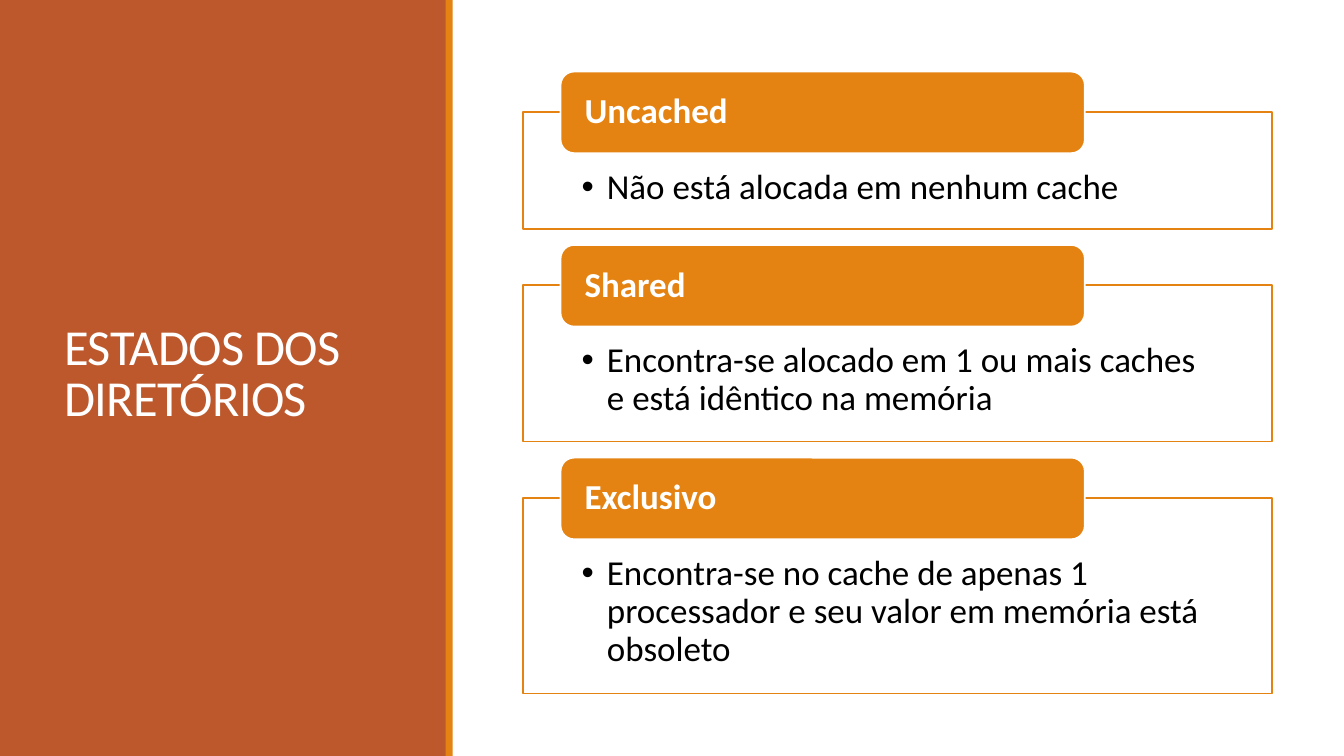
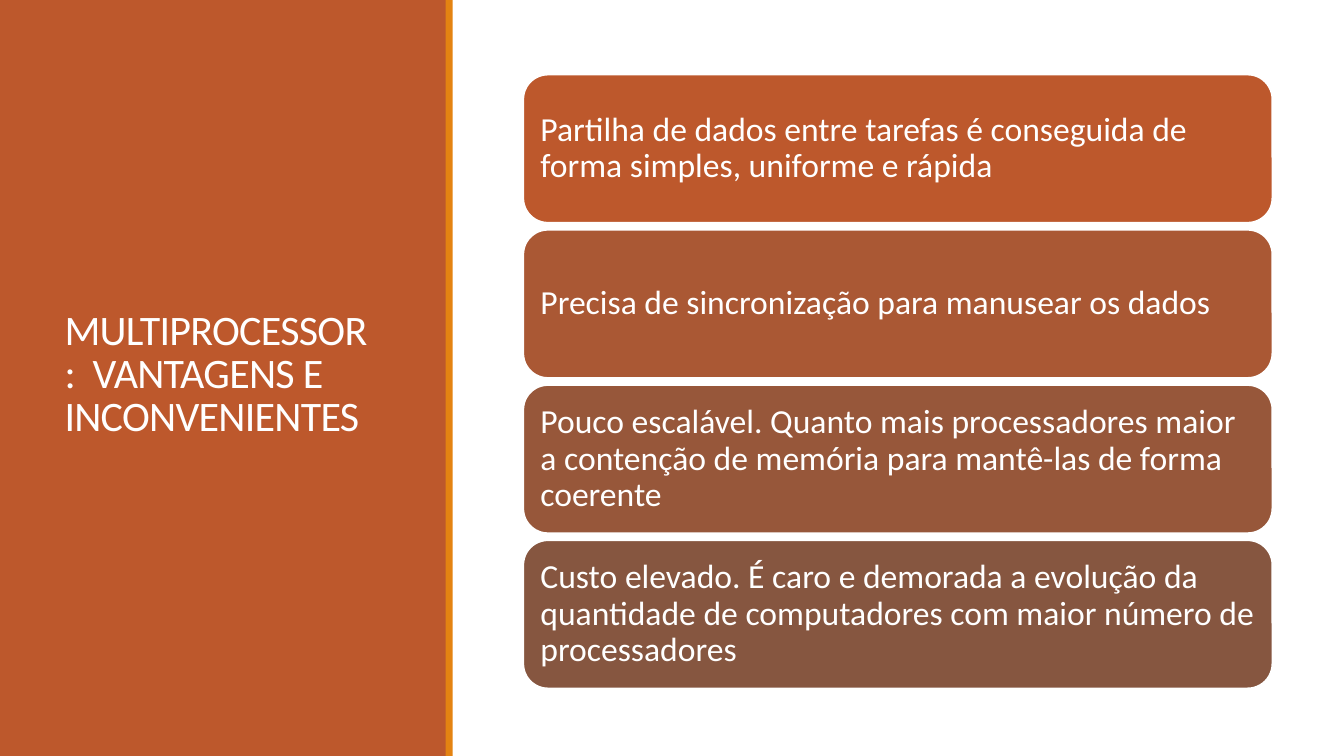
from pptx import Presentation
from pptx.dml.color import RGBColor as Rgb
from pptx.enum.shapes import MSO_SHAPE as Kind
from pptx.enum.text import MSO_ANCHOR as Anchor, MSO_AUTO_SIZE as Auto, PP_ALIGN as Align
from pptx.oxml.ns import qn
from pptx.util import Inches, Pt
from lxml.etree import SubElement

HUES = {"rust": "BD582C", "orange": "E48312", "white": "FFFFFF", "black": "000000",
        "clay": "AA5834", "brown": "97573A", "umber": "865640"}
FONT = "Calibri"
LEFT, WIDE = 5.19, 7.43


def draw(slide, kind, box, fill, line=None):
    shape = slide.shapes.add_shape(kind, *map(Inches, box))
    shape.shadow.inherit = False
    shape.fill.solid()
    shape.fill.fore_color.rgb = Rgb.from_string(HUES[fill])
    if line:
        shape.line.color.rgb = Rgb.from_string(HUES[line])
        shape.line.width = Pt(1.25)
    else:
        shape.line.fill.background()
    return shape


def write(shape, text, size, hue="white", pad=(0.1, 0.05, 0.1, 0.05),
          anchor=Anchor.MIDDLE, space=0.9, bold=False):
    """Fill a shape with one left-aligned paragraph and return it."""
    frame = shape.text_frame
    frame.text = text
    look = {"word_wrap": True, "auto_size": Auto.NONE, "vertical_anchor": anchor}
    sides = ("margin_left", "margin_top", "margin_right", "margin_bottom")
    look.update(zip(sides, map(Inches, pad)))
    for name, value in look.items():
        setattr(frame, name, value)
    para = frame.paragraphs[0]
    para.alignment = Align.LEFT
    para.line_spacing = space
    font = para.runs[0].font
    for name, value in {"name": FONT, "size": Pt(size), "bold": bold}.items():
        setattr(font, name, value)
    font.color.rgb = Rgb.from_string(HUES[hue])
    return para


deck = Presentation()
deck.slide_width, deck.slide_height = Inches(13.33), Inches(7.5)

# Side panel and title on each slide
heads = [("ESTADOS DOS DIRETÓRIOS", 36),
         ("MULTIPROCESSOR :  VANTAGENS E INCONVENIENTES", 30)]
slides = []
for text, size in heads:
    slide = deck.slides.add_slide(deck.slide_layouts[5])
    title = slide.shapes.title
    title.left, title.top, title.width, title.height = map(Inches, (0.54, 0.57, 3.37, 6.31))
    para = write(title, text, size, space=0.85)
    para.runs[0].font._element.set("spc", "-50")
    for box, hue in (((0, 0, 4.43, 7.5), "rust"), ((4.42, 0, 0.07, 7.5), "orange")):
        band = draw(slide, Kind.RECTANGLE, box, hue)
        title.element.addprevious(band.element)
    slides.append(slide)
states, traits = slides

# Directory states: each box grows with its number of text lines
items = [("Uncached", "Não está alocada em nenhum cache", 1),
         ("Shared", "Encontra-se alocado em 1 ou mais caches e está idêntico na memória", 2),
         ("Exclusivo", "Encontra-se no cache de apenas 1 processador e seu valor em memória "
                       "está obsoleto", 3)]
top = 1.11
for name, text, lines in items:
    high = 0.77 + 0.39 * lines
    body = draw(states, Kind.RECTANGLE, (LEFT, top, WIDE, high), "white", "orange")
    para = write(body, text, 25, "black", (0.58, 0.57, 0.58, 0.19), Anchor.TOP)
    props = para._p.get_or_add_pPr()
    props.set("marL", str(Inches(0.25)))
    props.set("indent", str(Inches(-0.25)))
    SubElement(props, qn("a:buFont"), typeface="Arial")
    SubElement(props, qn("a:buChar"), char="•")
    tab = draw(states, Kind.ROUNDED_RECTANGLE, (LEFT + 0.37, top - 0.4, 5.2, 0.81),
               "orange", "white")
    write(tab, name, 25, pad=(0.2, 0, 0.2, 0), bold=True)
    top += high + 0.56

# Advantages and drawbacks: equal cards
cards = [("Partilha de dados entre tarefas é conseguida de forma simples, uniforme e rápida",
          "rust"),
         ("Precisa de sincronização para manusear os dados", "clay"),
         ("Pouco escalável. Quanto mais processadores maior a contenção de memória para "
          "mantê-las de forma coerente", "brown"),
         ("Custo elevado. É caro e demorada a evolução da quantidade de computadores com "
          "maior número de processadores", "umber")]
for row, (text, hue) in enumerate(cards):
    card = draw(traits, Kind.ROUNDED_RECTANGLE, (LEFT, 0.74 + 1.54 * row, WIDE, 1.47),
                hue, "white")
    write(card, text, 24, pad=(0.1,) * 4)

deck.save("out.pptx")
